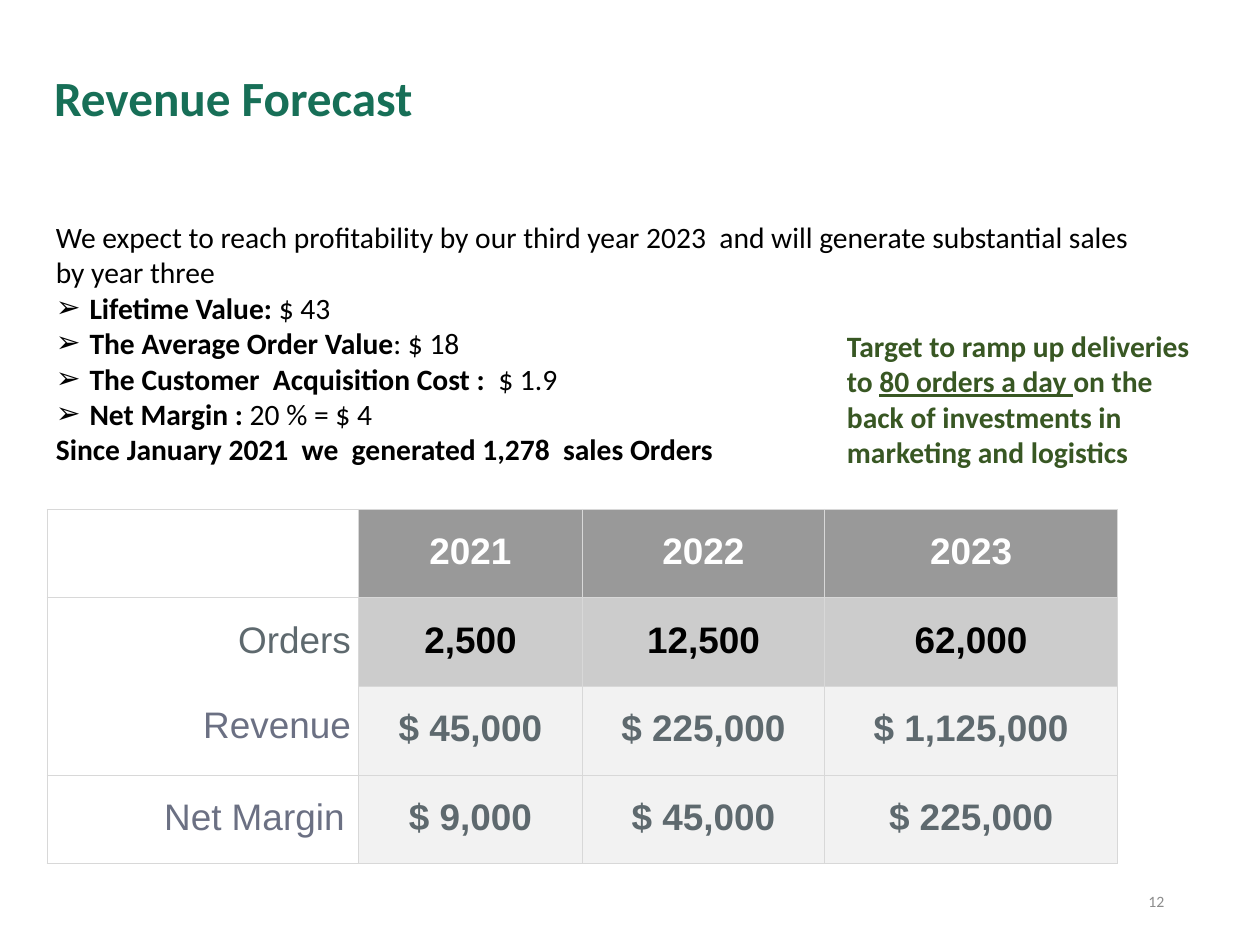
from lxml.etree import SubElement
from pptx import Presentation
from pptx.dml.color import RGBColor
from pptx.enum.text import MSO_ANCHOR as Anchor, MSO_AUTO_SIZE as AutoSize, PP_ALIGN as Align
from pptx.oxml import parse_xml
from pptx.oxml.ns import nsdecls, qn
from pptx.util import Inches, Pt


def hex_color(value):
    return RGBColor.from_string(value)


def add_span(para, text, size, font, color, bold=False, underline=False):
    span = para.add_run()
    span.text = text
    span.font.size = Pt(size)
    span.font.name = font
    span.font.color.rgb = hex_color(color)
    span.font.bold = bold
    span.font.underline = underline


deck = Presentation()
deck.slide_width, deck.slide_height = Inches(14.22), Inches(10.67)
page = deck.slides.add_slide(deck.slide_layouts[1])

# One percent of the slide in each direction
COL, ROW = deck.slide_width / 100, deck.slide_height / 100

# Text areas: left, top, width, height in percent
title, body = page.shapes.title, page.placeholders[1]
target = page.shapes.add_textbox(0, 0, 0, 0)
number = page.shapes.add_textbox(0, 0, 0, 0)
for box, left, top, width, height, anchor in [
    (title, 4.29, 7.03, 49.79, 6.47, Anchor.MIDDLE),
    (body, 3.73, 22.68, 87.97, 27.46, Anchor.TOP),
    (target, 66.53, 34.21, 29.68, 16.12, Anchor.TOP),
    (number, 70.6, 92.69, 22.5, 5.34, Anchor.MIDDLE),
]:
    box.left, box.top = round(left * COL), round(top * ROW)
    box.width, box.height = round(width * COL), round(height * ROW)
    box.text_frame.word_wrap = True
    box.text_frame.auto_size = AutoSize.NONE
    box.text_frame.vertical_anchor = anchor

# Title
frame = title.text_frame
frame.margin_left = frame.margin_right = frame.margin_top = frame.margin_bottom = 0
para = frame.paragraphs[0]
para.alignment = Align.LEFT
add_span(para, "Revenue Forecast", 40, "Calibri", "176F57", bold=True)

# Key figures: bulleted or not, bold part, regular part
key_figures = [
    (False, "", "We expect to reach profitability by our third year 2023  and will "
                "generate substantial sales by year three"),
    (True, "Lifetime Value: ", "$ 43"),
    (True, "The Average Order Value", ": $ 18"),
    (True, "The Customer  Acquisition Cost :  ", "$ 1.9"),
    (True, "Net Margin : ", "20 % = $ 4"),
    (False, "Since January 2021  we  generated 1,278  sales Orders", ""),
]
for index, (bulleted, strong, plain) in enumerate(key_figures):
    frame = body.text_frame
    para = frame.add_paragraph() if index else frame.paragraphs[0]
    para.space_before = Pt(0)
    indent = Inches(0.38) if bulleted else 0
    props = para._p.get_or_add_pPr()
    props.set("marL", str(indent))
    props.set("indent", str(-indent))
    if bulleted:
        SubElement(props, qn("a:buChar")).set("char", "➢")
    else:
        SubElement(props, qn("a:buNone"))
    for text, bold in [(strong, True), (plain, False)]:
        if text:
            add_span(para, text, 24, "Calibri", "000000", bold)

# Delivery target
para = target.text_frame.paragraphs[0]
for text, underline in [
    ("Target to ramp up deliveries to ", False),
    ("80 orders a day ", True),
    ("on the back of investments in marketing and logistics", False),
]:
    add_span(para, text, 24, "Calibri", "385723", True, underline)

# Slide number
para = number.text_frame.paragraphs[0]
para.alignment = Align.RIGHT
add_span(para, "12", 12.8, "Calibri", "8C8C8C")

# Forecast table: row fill, figure colour, figures
forecast = [
    ("999999", "FFFFFF", ["2021", "2022", "2023"]),
    ("CCCCCC", "000000", ["2,500", "12,500", "62,000"]),
    ("F2F2F2", "5E696E", ["$ 45,000", "$ 225,000", "$ 1,125,000"]),
    ("F2F2F2", "5E696E", ["$ 9,000", "$ 45,000", "$ 225,000"]),
]
column_shares = [24.75, 17.72, 19.27, 23.21]
table = page.shapes.add_table(
    len(forecast), len(column_shares), round(3.73 * COL), round(53.89 * ROW),
    round(sum(column_shares) * COL), round(37.49 * ROW)).table
for column, share in zip(table.columns, column_shares):
    column.width = round(share * COL)

for row, (fill, color, figures) in enumerate(forecast):
    for column in range(len(column_shares)):
        cell = table.cell(row, column)
        cell.margin_left = cell.margin_right = cell.margin_bottom = 0
        cell.margin_top = Inches(0.25)
        if column:
            cell.fill.solid()
            cell.fill.fore_color.rgb = hex_color(fill)
            para = cell.text_frame.paragraphs[0]
            para.alignment = Align.CENTER
            add_span(para, figures[column - 1], 30, "Arial", color, bold=True)
        else:
            cell.fill.background()
        for place, side in enumerate(["lnL", "lnR", "lnT", "lnB"]):
            cell._tc.get_or_add_tcPr().insert(place, parse_xml(
                f'<a:{side} {nsdecls("a")} w="{Pt(0.75)}"><a:solidFill>'
                f'<a:srgbClr val="D8D8D8"/></a:solidFill></a:{side}>'))

# Row labels, with Orders and Revenue sharing one merged cell
table.cell(1, 0).merge(table.cell(2, 0))
for row, right_margin, labels in [
    (1, 0.09, [("Orders", "5E696E"), ("Revenue", "6B7083")]),
    (3, 0.16, [("Net Margin", "6B7083")]),
]:
    cell = table.cell(row, 0)
    cell.margin_right = Inches(right_margin)
    for index, (label, color) in enumerate(labels):
        frame = cell.text_frame
        para = frame.add_paragraph() if index else frame.paragraphs[0]
        para.alignment = Align.RIGHT
        if index:
            para.space_before = Pt(35.5)
        add_span(para, label, 30, "Arial", color)

deck.save("out.pptx")
